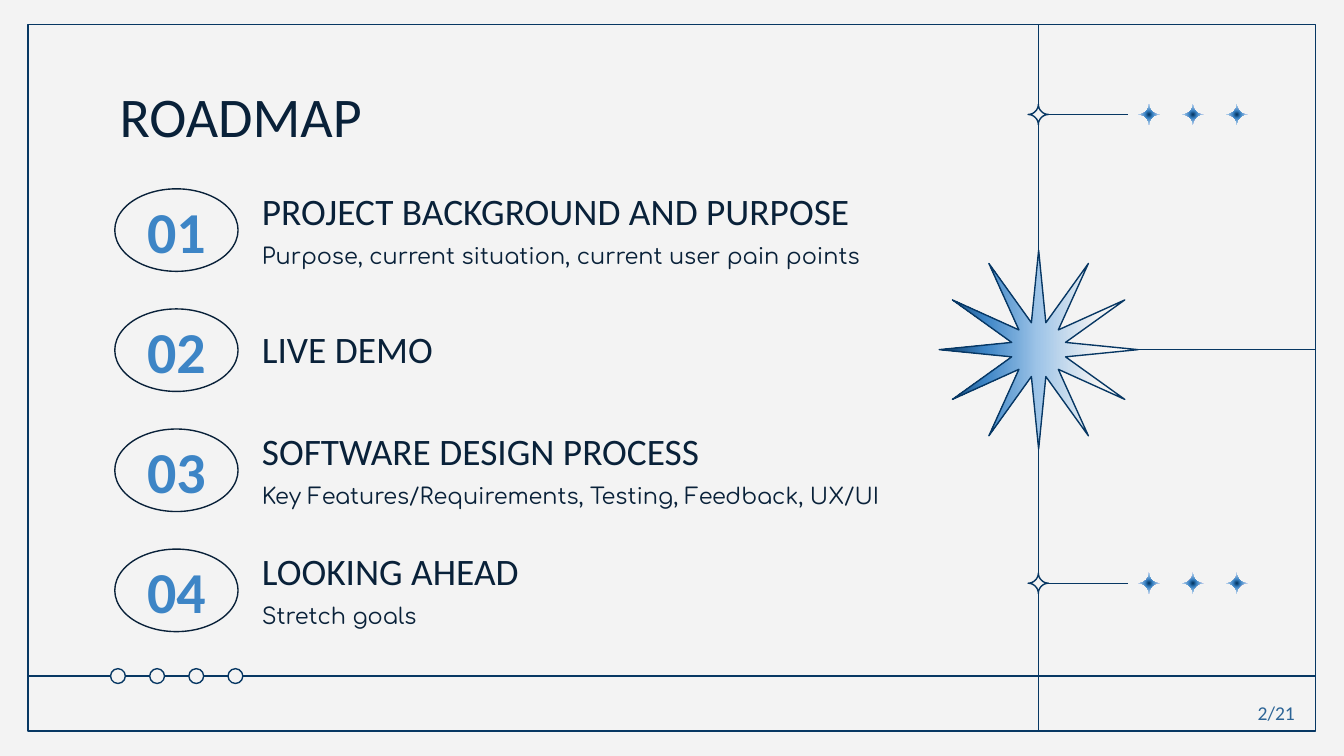
import math

import lxml.etree
import pptx
import pptx.dml.color
import pptx.enum.shapes
import pptx.enum.text
import pptx.oxml
import pptx.oxml.ns
import pptx.util

Cm = pptx.util.Cm
Pt = pptx.util.Pt
RGB = pptx.dml.color.RGBColor
SHAPE = pptx.enum.shapes.MSO_SHAPE
ANCHOR = pptx.enum.text.MSO_ANCHOR
ALIGN = pptx.enum.text.PP_ALIGN
qn = pptx.oxml.ns.qn

PAPER = RGB(0xF3, 0xF3, 0xF3)
WHITE = RGB(0xFF, 0xFF, 0xFF)
NAVY = RGB(0x07, 0x37, 0x63)
INK = RGB(0x09, 0x21, 0x39)
BLUE = RGB(0x3D, 0x85, 0xC6)
SKY = RGB(0x9F, 0xC5, 0xE8)
STEEL = RGB(0x2C, 0x64, 0x96)

TITLE = dict(name="Calibri", size=Pt(30), bold=False, color=INK)
NUMBER = dict(name="Calibri", size=Pt(31), bold=True, color=BLUE)
HEADING = dict(name="Calibri", size=Pt(20), bold=False, color=INK)
DETAIL = dict(name="Comfortaa", size=Pt(12), bold=False, color=INK)
PAGE = dict(name="Calibri", size=Pt(10.5), bold=False, color=STEEL)

RADIAL = ('<a:path path="circle"><a:fillToRect l="50000" t="50000" r="50000" b="50000"/></a:path>',
          [(0, NAVY), (25, BLUE), (60, SKY), (100, PAPER)])
LINEAR = ('<a:lin ang="10800000" scaled="0"/>',
          [(0, WHITE), (20, PAPER), (50, SKY), (77, BLUE), (100, NAVY)])

SECTIONS = [
    ("PROJECT BACKGROUND AND PURPOSE", "Purpose, current situation, current user pain points"),
    ("LIVE DEMO",),
    ("SOFTWARE DESIGN PROCESS", "Key Features/Requirements, Testing, Feedback, UX/UI"),
    ("LOOKING AHEAD", "Stretch goals"),
]


def write(p, text, fmt, align=ALIGN.LEFT, before=0):
    """Put one formatted run in a paragraph."""
    for name, value in dict(alignment=align, line_spacing=1.0,
                            space_before=Pt(before), space_after=Pt(0)).items():
        setattr(p, name, value)
    r = p.add_run()
    r.text = text
    for name, value in fmt.items():
        if name == "color":
            r.font.color.rgb = value
        else:
            setattr(r.font, name, value)


def set_frame(tf, anchor, side=0.25, wrap=True):
    """Set the anchor, margins and wrapping of a text frame."""
    values = dict(margin_left=Cm(side), margin_right=Cm(side), margin_top=0, margin_bottom=0,
                  vertical_anchor=anchor, word_wrap=wrap, auto_size=pptx.enum.text.MSO_AUTO_SIZE.NONE)
    for name, value in values.items():
        setattr(tf, name, value)


def place(sp, x, y, w, h):
    """Move and size a shape, in centimetres."""
    for name, value in dict(left=x, top=y, width=w, height=h).items():
        setattr(sp, name, Cm(value))


def style(sp, fill=None, line=None):
    """Give a shape its fill (colour, gradient or none) and outline."""
    sp.shadow.inherit = False
    if isinstance(fill, tuple) and not isinstance(fill, RGB):
        direction, stops = fill
        stop_xml = "".join(f'<a:gs pos="{pos * 1000}"><a:srgbClr val="{color}"/></a:gs>'
                           for pos, color in stops)
        grad = pptx.oxml.parse_xml(f'<a:gradFill {pptx.oxml.ns.nsdecls("a")} rotWithShape="1">'
                                   f'<a:gsLst>{stop_xml}</a:gsLst>{direction}</a:gradFill>')
        sp.fill.background()
        old = sp._element.spPr.find(qn("a:noFill"))
        old.getparent().replace(old, grad)
    elif fill is None:
        sp.fill.background()
    else:
        sp.fill.solid()
        sp.fill.fore_color.rgb = fill
    if line is None:
        sp.line.fill.background()
    else:
        sp.line.color.rgb = line
        sp.line.width = Pt(0.75)


def add_shape(s, kind, x, y, w, h, fill=None, line=None):
    """Add a styled preset shape."""
    sp = s.shapes.add_shape(kind, Cm(x), Cm(y), Cm(w), Cm(h))
    style(sp, fill, line)
    return sp


def add_line(s, x1, y1, x2, y2):
    """Add a thin straight navy line."""
    ln = s.shapes.add_connector(pptx.enum.shapes.MSO_CONNECTOR.STRAIGHT, Cm(x1), Cm(y1), Cm(x2), Cm(y2))
    ln.line.color.rgb = NAVY
    ln.line.width = Pt(0.75)
    lxml.etree.SubElement(ln._element.spPr, qn("a:effectLst"))


def add_sparkle(s, cx, cy, r, fill, line=None):
    """Draw a four-pointed sparkle whose sides are quarter circles."""
    steps = 8
    points = []
    for sx, sy in ((1, -1), (1, 1), (-1, 1), (-1, -1)):
        arc = [(cx + sx * r * (1 - math.cos(a)), cy + sy * r * (1 - math.sin(a)))
               for a in (math.pi / 2 * k / steps for k in range(steps + 1))]
        points += arc if sx * sy < 0 else arc[::-1]
    points = [(Cm(x), Cm(y)) for x, y in points]
    fb = s.shapes.build_freeform(*points[0])
    fb.add_line_segments(points[1:], close=True)
    style(fb.convert_to_shape(), fill, line)


def add_sparkle_row(s, x, y, w, h):
    """Draw an open sparkle, a line and three shaded sparkles in a box."""
    r = h / 2
    cy = y + r
    add_sparkle(s, x + r, cy, r, PAPER, NAVY)
    add_line(s, x + 1.89, cy, x + h, cy)
    for k in range(3):
        add_sparkle(s, x + w - r - k * 0.83, cy, r, RADIAL)


def add_grid(s, x, y, w, h):
    """Draw the border, dividing lines, rings and sparkle rows."""
    spine, middle, base = x + 19.1, y + 6.15, y + 12.32
    add_shape(s, SHAPE.RECTANGLE, x, y, w, h, line=NAVY)
    add_line(s, x, base, x + w, base)
    add_line(s, spine, middle, x + w, middle)
    add_line(s, spine, y, spine, y + h)
    for k in range(4):
        add_shape(s, SHAPE.OVAL, x + 1.56 + k * 0.74, base - 0.14, 0.28, 0.28, PAPER, NAVY)
    for cy in (y + 1.71, y + 10.57):
        add_sparkle_row(s, spine - 0.2, cy - 0.2, 4.14, 0.39)
    r = 1.88
    burst = add_shape(s, SHAPE.STAR_12_POINT, spine - r, middle - r, 2 * r, 2 * r, LINEAR, NAVY)
    burst.adjustments[0] = 0.14


def add_title(s, text, x, y, w, h):
    """Fill the title placeholder."""
    sp = s.shapes.title
    place(sp, x, y, w, h)
    set_frame(sp.text_frame, ANCHOR.TOP)
    write(sp.text_frame.paragraphs[0], text, TITLE)


def add_section(s, sp, number, lines, x, y, w, h):
    """Place a numbered oval and fill a body placeholder beside it."""
    oval = add_shape(s, SHAPE.OVAL, x, y, 2.33, h, line=INK)
    set_frame(oval.text_frame, ANCHOR.MIDDLE, side=0, wrap=False)
    write(oval.text_frame.paragraphs[0], f"{number:02d}", NUMBER, ALIGN.CENTER)
    place(sp, x + 2.53, y - 0.03, w - 2.53, h)
    tf = sp.text_frame
    set_frame(tf, ANCHOR.MIDDLE)
    for k, text in enumerate(lines):
        p = tf.add_paragraph() if k else tf.paragraphs[0]
        pPr = p._p.get_or_add_pPr()
        pPr.set("marL", "0")
        pPr.set("indent", "0")
        lxml.etree.SubElement(pPr, qn("a:buNone"))
        write(p, text, DETAIL if k else HEADING, before=5 if k else 0)


def add_roadmap(s, x, y, w, h):
    """Stack the sections with equal pitch in a box."""
    row = 1.56
    pitch = (h - row) / (len(SECTIONS) - 1)
    bodies = [sp for sp in s.placeholders if sp.placeholder_format.idx]
    for k, (sp, lines) in enumerate(zip(bodies, SECTIONS)):
        add_section(s, sp, k + 1, lines, x, y + k * pitch, w, row)


def add_page_number(s, text, x, y, w, h):
    """Write the page count in the corner."""
    sp = s.shapes.add_textbox(Cm(x), Cm(y), Cm(w), Cm(h))
    set_frame(sp.text_frame, ANCHOR.MIDDLE, wrap=False)
    write(sp.text_frame.paragraphs[0], text, PAGE)


def main():
    """Build the roadmap slide."""
    prs = pptx.Presentation()
    prs.slide_width, prs.slide_height = Cm(25.4), Cm(14.29)
    s = prs.slides.add_slide(prs.slide_layouts.get_by_name("Comparison"))
    s.background.fill.solid()
    s.background.fill.fore_color.rgb = PAPER
    add_grid(s, 0.53, 0.46, 24.33, 13.36)
    add_title(s, "ROADMAP", 2.01, 1.54, 17.07, 1.35)
    add_roadmap(s, 2.17, 3.57, 15.41, 8.37)
    add_page_number(s, "2/21", 23.52, 13.11, 1.32, 0.71)
    prs.save("out.pptx")


if __name__ == "__main__":
    main()
